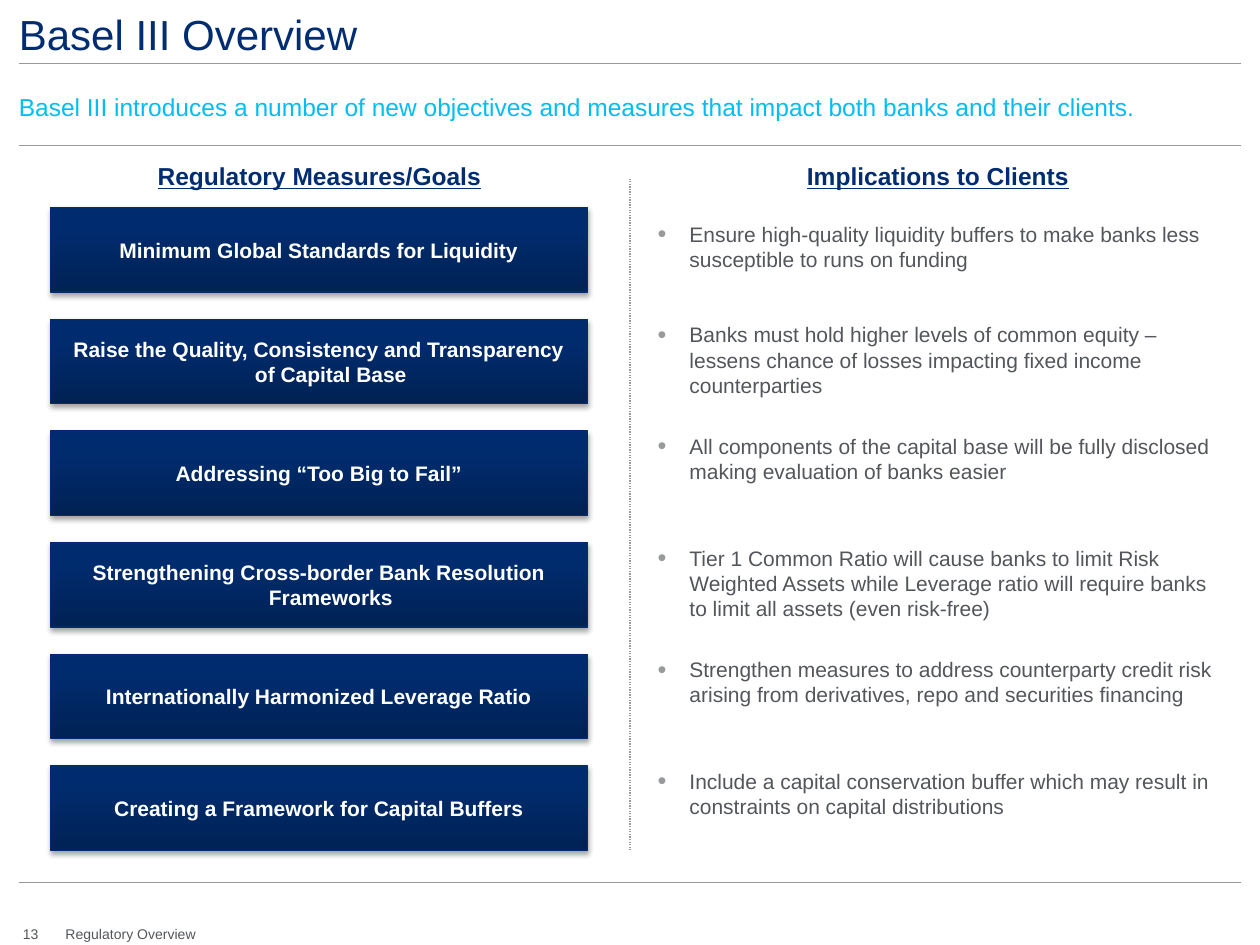
from dataclasses import dataclass

from lxml.etree import SubElement
from pptx import Presentation
from pptx.dml.color import RGBColor
from pptx.enum.dml import MSO_LINE
from pptx.enum.shapes import MSO_CONNECTOR, MSO_SHAPE
from pptx.enum.text import MSO_ANCHOR, PP_ALIGN
from pptx.oxml.ns import qn
from pptx.shapes.autoshape import Shape
from pptx.slide import Slide
from pptx.text.text import _Paragraph
from pptx.util import Cm, Pt

HUES = {
    "title": "002D72",
    "lead": "00BDF2",
    "body": "53565A",
    "rule": "97999B",
    "deep": "002255",
    "navy": "002C6F",
    "white": "FFFFFF",
    "shade": "000000",
}
FACE = "Arial"
PITCH = 2.25


@dataclass(frozen=True)
class Label:
    text: str
    left: float
    top: float
    width: float
    height: float
    size: int
    hue: str
    head: bool = False
    middle: bool = False


@dataclass(frozen=True)
class Rule:
    x1: float
    y1: float
    x2: float
    y2: float
    weight: float = 0.5
    dotted: bool = False


@dataclass(frozen=True)
class Goal:
    name: str
    impact: str
    drop: float = 0


LABELS = [
    Label("Basel III Overview", 0.38, 0.18, 24.61, 1.04, 24, "title"),
    Label("Basel III introduces a number of new objectives and measures that impact both banks and their clients.",
          0.38, 1.85, 24.61, 0.61, 14, "lead", middle=True),
    Label("Regulatory Measures/Goals", 1.73, 3.12, 9.42, 0.86, 14, "title", head=True, middle=True),
    Label("Implications to Clients", 12.7, 3.12, 12.42, 0.86, 14, "title", head=True, middle=True),
    Label("13", 0.46, 18.66, 0.7, 0.33, 8, "body"),
    Label("Regulatory Overview", 1.32, 18.66, 3.6, 0.33, 8, "body"),
]
RULES = [
    Rule(0.38, 1.27, 25.02, 1.27),
    Rule(0.38, 17.78, 25.02, 17.78),
    Rule(0.38, 2.94, 25.02, 2.94),
    Rule(12.7, 3.6, 12.7, 17.14, 0.75, True),
]
GOALS = [
    Goal("Minimum Global Standards for Liquidity",
         "Ensure high-quality liquidity buffers to make banks less susceptible to runs on funding", 0.22),
    Goal("Raise the Quality, Consistency and Transparency of Capital Base",
         "Banks must hold higher levels of common equity – lessens chance of losses impacting "
         "fixed income counterparties"),
    Goal("Addressing “Too Big to Fail”",
         "All components of the capital base will be fully disclosed making evaluation of banks easier"),
    Goal("Strengthening Cross-border Bank Resolution Frameworks",
         "Tier 1 Common Ratio will cause banks to limit Risk Weighted Assets while Leverage ratio "
         "will require banks to limit all assets (even risk-free)"),
    Goal("Internationally Harmonized Leverage Ratio",
         "Strengthen measures to address counterparty credit risk arising from derivatives, "
         "repo and securities financing"),
    Goal("Creating a Framework for Capital Buffers",
         "Include a capital conservation buffer which may result in constraints on capital distributions"),
]


def tint(hue: str) -> RGBColor:
    return RGBColor.from_string(HUES[hue])


def style(para: _Paragraph, size: int, hue: str, bold: bool = False) -> None:
    font = para.font
    font.name = FACE
    font.size = Pt(size)
    font.bold = bold
    font.color.rgb = tint(hue)


def indent(para: _Paragraph, depth: float) -> None:
    props = para._p.get_or_add_pPr()
    props.set("marL", str(Cm(depth)))
    props.set("indent", str(-Cm(depth)))


def bullet(para: _Paragraph) -> None:
    props = para._p.get_or_add_pPr()
    color = SubElement(props, qn("a:buClr"))
    SubElement(color, qn("a:srgbClr"), val=HUES["rule"])
    SubElement(props, qn("a:buSzPct"), val="120000")
    SubElement(props, qn("a:buFont"), typeface=FACE)
    SubElement(props, qn("a:buChar"), char="•")


def shadow(box: Shape) -> None:
    box.shadow.inherit = False
    group = box._element.spPr.find(qn("a:effectLst"))
    outer = SubElement(group, qn("a:outerShdw"), blurRad=str(Pt(3.1)),
                       dist=str(Pt(1.8)), dir="5400000", rotWithShape="0")
    color = SubElement(outer, qn("a:srgbClr"), val=HUES["shade"])
    SubElement(color, qn("a:alpha"), val="35000")


def write(slide: Slide, label: Label, dot: bool = False) -> None:
    box = slide.shapes.add_textbox(Cm(label.left), Cm(label.top), Cm(label.width), Cm(label.height))
    frame = box.text_frame
    frame.margin_left = frame.margin_right = frame.margin_top = frame.margin_bottom = 0
    frame.word_wrap = True
    frame.vertical_anchor = MSO_ANCHOR.MIDDLE if label.middle else MSO_ANCHOR.TOP
    frame.text = label.text
    para = frame.paragraphs[0]
    if dot:
        indent(para, 0.64)
        bullet(para)
    style(para, label.size, label.hue, label.head)
    if label.head:
        para.alignment = PP_ALIGN.CENTER
        para.font.underline = True


def rule(slide: Slide, mark: Rule) -> None:
    line = slide.shapes.add_connector(
        MSO_CONNECTOR.STRAIGHT, Cm(mark.x1), Cm(mark.y1), Cm(mark.x2), Cm(mark.y2))
    line.line.color.rgb = tint("rule")
    line.line.width = Pt(mark.weight)
    if mark.dotted:
        line.line.dash_style = MSO_LINE.ROUND_DOT
    SubElement(line._element.spPr, qn("a:effectLst"))


def panel(slide: Slide, text: str, top: float) -> None:
    box = slide.shapes.add_shape(MSO_SHAPE.RECTANGLE, Cm(1.02), Cm(top), Cm(10.82), Cm(1.7))
    box.fill.gradient()
    box.fill.gradient_angle = 90
    for stop, hue, place in zip(box.fill.gradient_stops, ("deep", "navy"), (0, 0.8)):
        stop.color.rgb = tint(hue)
        stop.position = place
    box.line.color.rgb = tint("navy")
    box.line.width = Pt(0.75)
    shadow(box)
    frame = box.text_frame
    frame.margin_left = frame.margin_right = frame.margin_top = frame.margin_bottom = Cm(0.25)
    frame.word_wrap = True
    frame.vertical_anchor = MSO_ANCHOR.MIDDLE
    frame.text = text
    para = frame.paragraphs[0]
    para.alignment = PP_ALIGN.CENTER
    indent(para, 0.48)
    style(para, 12, "white", True)


def main() -> None:
    deck = Presentation()
    deck.slide_width, deck.slide_height = Cm(25.4), Cm(19.05)
    slide = deck.slides.add_slide(deck.slide_layouts[6])
    for mark in RULES:
        rule(slide, mark)
    for label in LABELS:
        write(slide, label)
    for row, goal in enumerate(GOALS):
        panel(slide, goal.name, 4.19 + row * PITCH)
        top = 4.24 + row * PITCH + goal.drop
        write(slide, Label(goal.impact, 13.26, top, 11.3, 1.3, 12, "body"), dot=True)
    deck.save("out.pptx")


if __name__ == "__main__":
    main()
